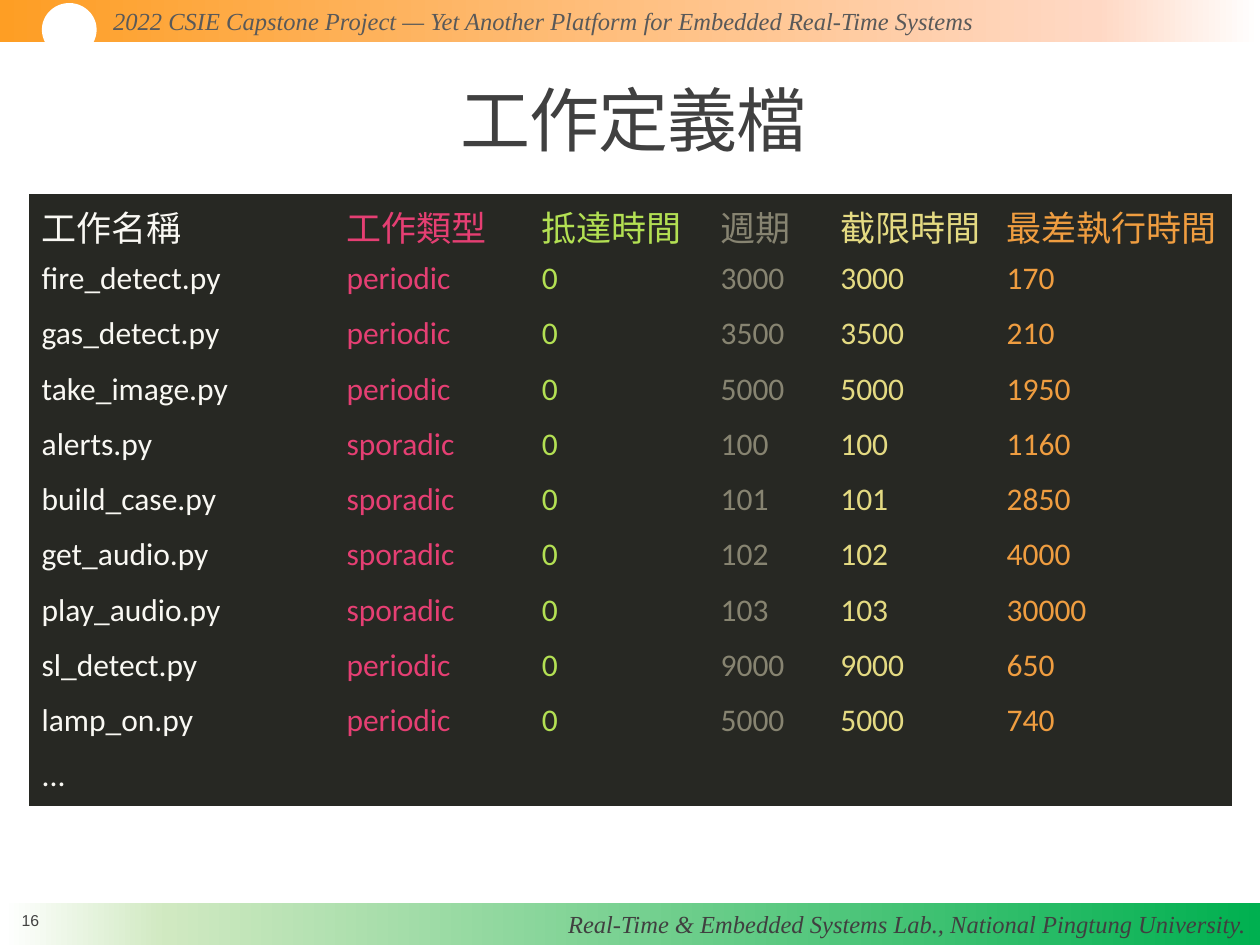
import pptx
import pptx.dml.color
import pptx.enum.shapes
import pptx.enum.text
import pptx.oxml
import pptx.oxml.ns
import pptx.util

Pt = pptx.util.Pt
ALIGN = pptx.enum.text.PP_ALIGN
ANCHOR = pptx.enum.text.MSO_ANCHOR
SHAPE = pptx.enum.shapes.MSO_SHAPE

COLORS = {
    "white": "FFFFFF",
    "orange": "FE9E24",
    "peach": "FFD8C4",
    "green": "00B050",
    "pale_green": "D0E9C1",
    "header_text": "595959",
    "dark_text": "404040",
    "page_number": "424242",
    "table_fill": "272823",
}
COLUMNS = [  # heading, width, text colour
    ("工作名稱", 174.2, "F9F8F3"),
    ("工作類型", 111.6, "E53F73"),
    ("抵達時間", 102.2, "B3E053"),
    ("週期", 68.4, "878471"),
    ("截限時間", 95.1, "E4DA82"),
    ("最差執行時間", 136.1, "EF9D40"),
]
JOBS = [  # name, type, arrival, period (also the deadline), worst execution time
    ("fire_detect.py", "periodic", 0, 3000, 170),
    ("gas_detect.py", "periodic", 0, 3500, 210),
    ("take_image.py", "periodic", 0, 5000, 1950),
    ("alerts.py", "sporadic", 0, 100, 1160),
    ("build_case.py", "sporadic", 0, 101, 2850),
    ("get_audio.py", "sporadic", 0, 102, 4000),
    ("play_audio.py", "sporadic", 0, 103, 30000),
    ("sl_detect.py", "periodic", 0, 9000, 650),
    ("lamp_on.py", "periodic", 0, 5000, 740),
]
BAND_FONT = {"name": "Times New Roman", "size": Pt(14), "italic": True}


def rgb(value):
    return pptx.dml.color.RGBColor.from_string(value)


def format_font(font, color, values):
    for name, value in values.items():
        setattr(font, name, value)
    font.color.rgb = rgb(color)


def add_band(slide, box, colors, angle):
    """Add a full-width bar with a gradient that fades out at its end."""
    shape = slide.shapes.add_shape(SHAPE.RECTANGLE, *map(Pt, box))
    shape.shadow.inherit = False
    shape.line.fill.background()
    stops = "".join(
        f'<a:gs pos="{position * 1000}"><a:srgbClr val="{COLORS[color]}"/></a:gs>'
        for position, color in zip((0, 87, 100), colors)
    )
    gradient = pptx.oxml.parse_xml(
        f'<a:gradFill {pptx.oxml.ns.nsdecls("a")} rotWithShape="1"><a:gsLst>{stops}</a:gsLst>'
        f'<a:lin ang="{angle * 60000}" scaled="0"/></a:gradFill>'
    )
    properties = shape._element.spPr
    properties.find(pptx.oxml.ns.qn("a:prstGeom")).addnext(gradient)


def add_circle(slide, box):
    shape = slide.shapes.add_shape(SHAPE.OVAL, *map(Pt, box))
    shape.shadow.inherit = False
    shape.fill.solid()
    shape.fill.fore_color.rgb = rgb(COLORS["white"])
    shape.line.color.rgb = rgb(COLORS["white"])
    shape.line.width = Pt(2.5)


def add_label(slide, box, text, color, font, align=ALIGN.LEFT, anchor=ANCHOR.TOP):
    frame = slide.shapes.add_textbox(*map(Pt, box)).text_frame
    frame.word_wrap = True
    frame.vertical_anchor = anchor
    paragraph = frame.paragraphs[0]
    paragraph.alignment = align
    run = paragraph.add_run()
    run.text = text
    format_font(run.font, COLORS[color], font)


def set_title(slide, box, text):
    title = slide.shapes.title
    title.left, title.top, title.width, title.height = map(Pt, box)
    frame = title.text_frame
    frame.vertical_anchor = ANCHOR.MIDDLE
    paragraph = frame.paragraphs[0]
    paragraph.alignment = ALIGN.CENTER
    paragraph.line_spacing = 0.85
    run = paragraph.add_run()
    run.text = text
    font_name = "Noto Sans CJK SC"
    format_font(run.font, COLORS["dark_text"], {"name": font_name, "size": Pt(40)})
    properties = run.font._element
    properties.set("spc", "-50")
    east_asian = pptx.oxml.parse_xml(
        f'<a:ea {pptx.oxml.ns.nsdecls("a")} typeface="{font_name}"/>'
    )
    properties.find(pptx.oxml.ns.qn("a:latin")).addnext(east_asian)


def add_job_table(slide, left, top):
    headings, widths, colors = zip(*COLUMNS)
    rows = [headings]
    for name, kind, arrival, period, worst_time in JOBS:
        rows.append((name, kind, arrival, period, period, worst_time))
    rows.append(("...",) + ("",) * (len(COLUMNS) - 1))
    heights = [33.8] + [31.6] * (len(rows) - 1)

    frame = slide.shapes.add_table(
        len(rows), len(COLUMNS), Pt(left), Pt(top), Pt(sum(widths)), Pt(sum(heights))
    )
    table = frame.table
    for column, width in zip(table.columns, widths):
        column.width = Pt(width)
    for row_index, (row, values) in enumerate(zip(table.rows, rows)):
        row.height = Pt(heights[row_index])
        size = Pt(18 if row_index else 20)
        for cell, value, color in zip(row.cells, values, colors):
            cell.fill.solid()
            cell.fill.fore_color.rgb = rgb(COLORS["table_fill"])
            if value == "":
                continue
            run = cell.text_frame.paragraphs[0].add_run()
            run.text = str(value)
            format_font(run.font, color, {"name": "Calibri", "size": size, "bold": False})
    remove_table_style(table)


def remove_table_style(table):
    """Switch to the style with neither banding nor grid lines."""
    table.first_row = False
    table.horz_banding = False
    style = table._tbl.tblPr.find(pptx.oxml.ns.qn("a:tableStyleId"))
    style.text = "{2D5ABB26-0587-4C30-8999-92F81FD0307C}"


def main():
    presentation = pptx.Presentation()
    presentation.slide_width, presentation.slide_height = Pt(720), Pt(540)
    slide = presentation.slides.add_slide(presentation.slide_layouts.get_by_name("Title Only"))

    add_band(slide, (2, 516, 718, 24), ("green", "pale_green", "white"), 180)
    add_band(slide, (0, 0, 720, 24), ("orange", "peach", "white"), 0)
    add_label(
        slide, (57.6, 0, 621.4, 24.2),
        "2022 CSIE Capstone Project — Yet Another Platform for Embedded Real-Time Systems",
        "header_text", BAND_FONT,
    )
    add_label(
        slide, (57.6, 516, 661.7, 24.2),
        "Real-Time & Embedded Systems Lab., National Pingtung University.",
        "dark_text", BAND_FONT, ALIGN.RIGHT,
    )
    add_circle(slide, (25.2, 3, 28.8, 28))
    set_title(slide, (64.8, 41.8, 594, 59), "工作定義檔")
    add_job_table(slide, 16.6, 110.9)
    add_label(
        slide, (0, 511.2, 34.6, 28.8), "16", "page_number",
        {"name": "Arial", "size": Pt(9)}, ALIGN.CENTER, ANCHOR.MIDDLE,
    )
    presentation.save("out.pptx")


if __name__ == "__main__":
    main()
